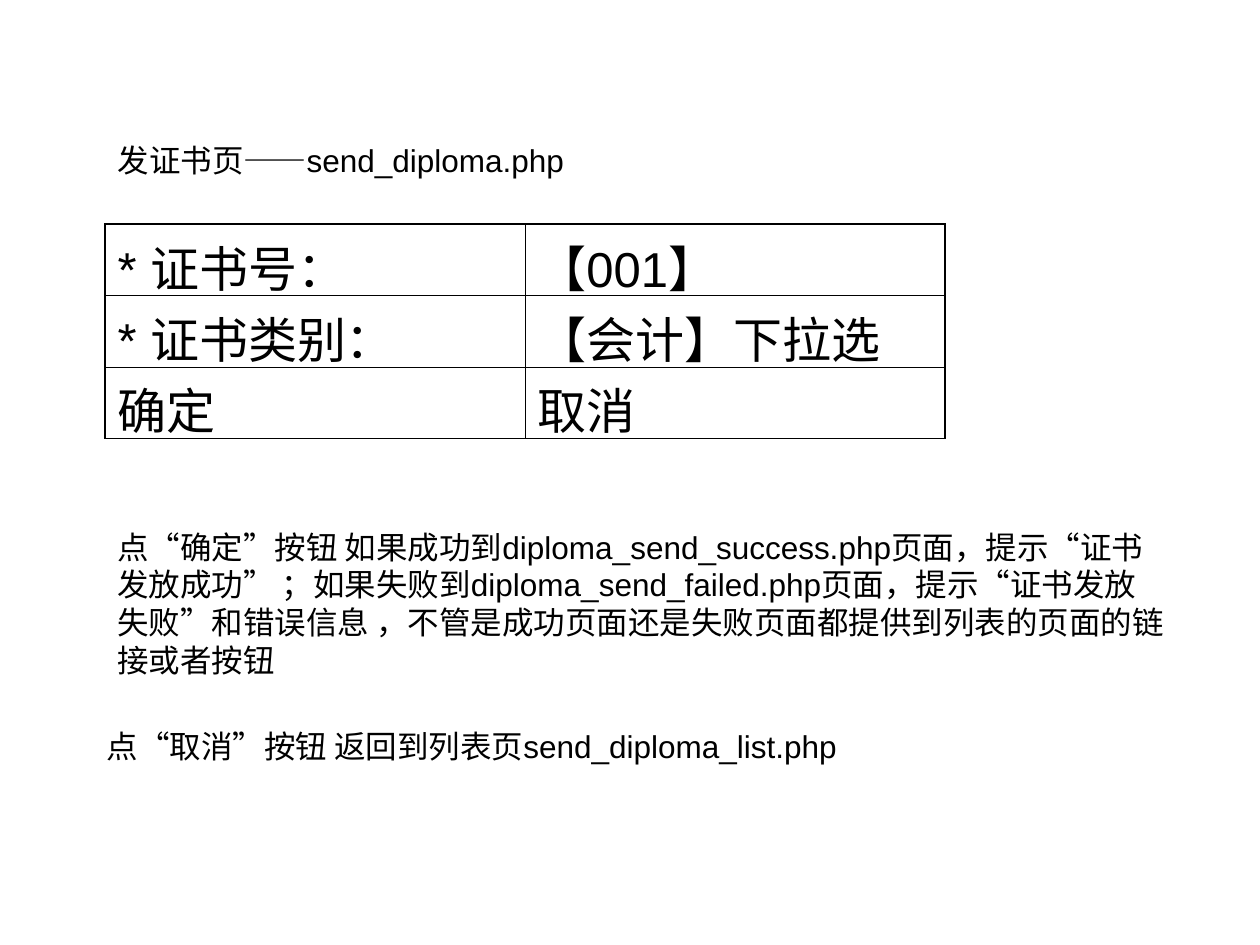
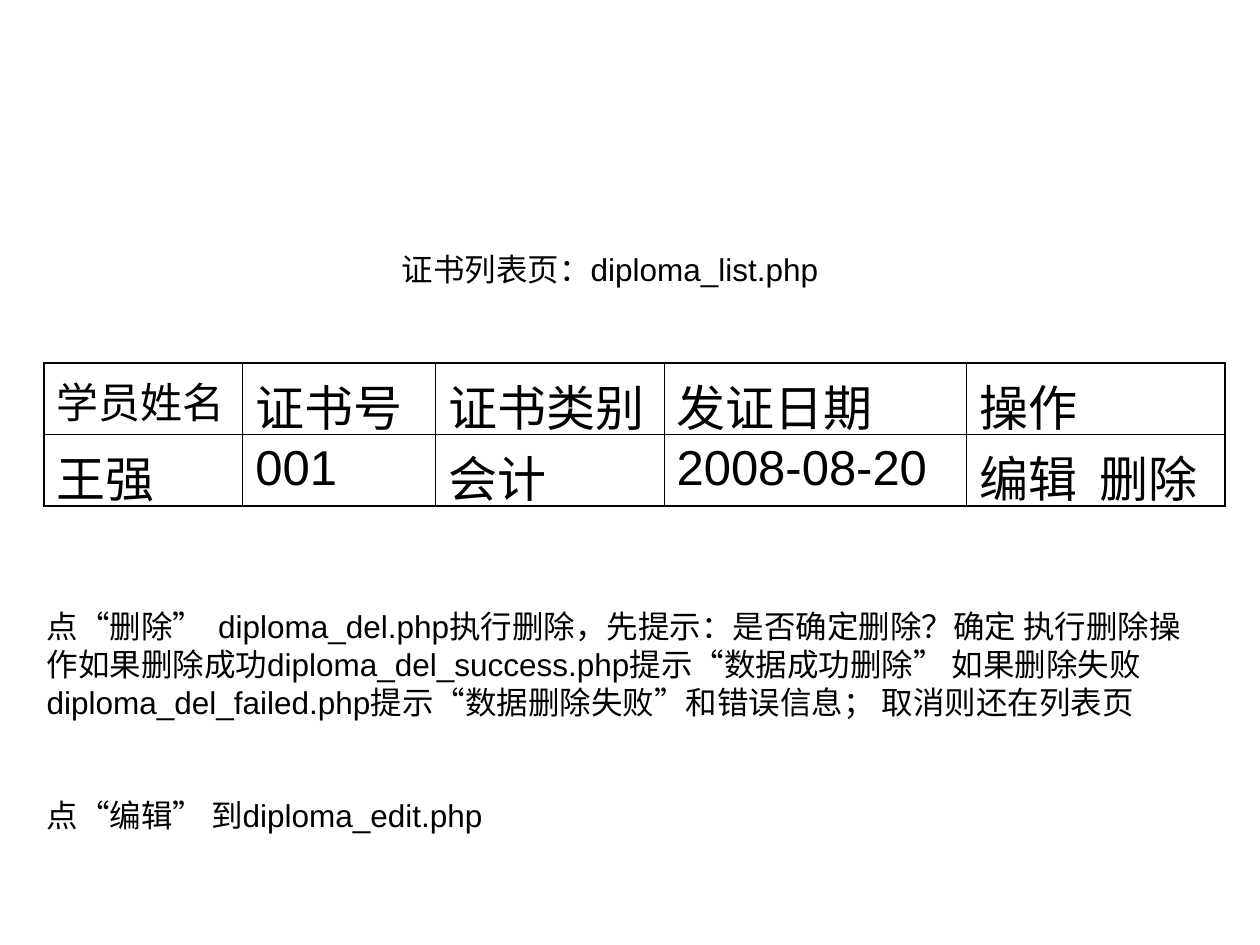
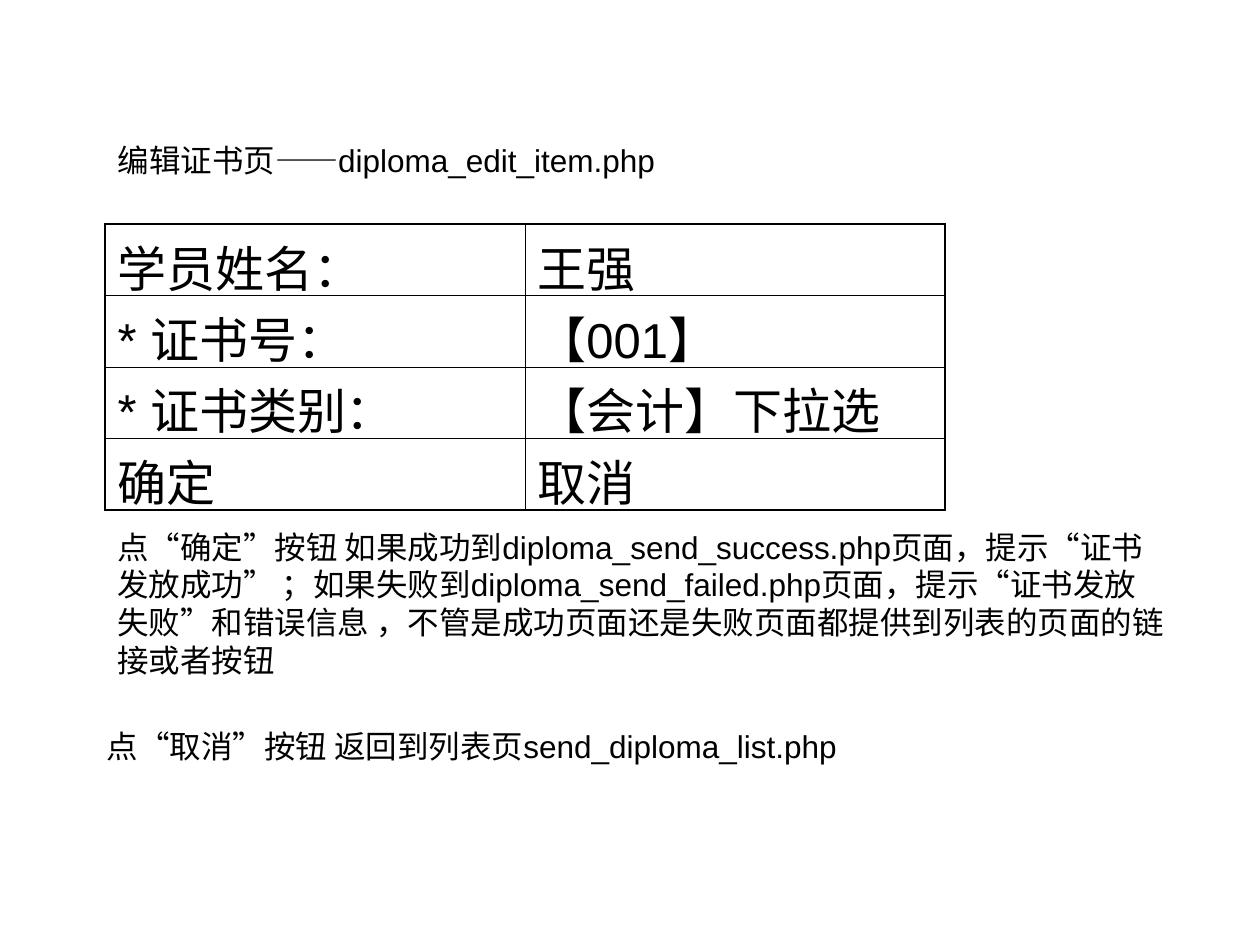
from dataclasses import dataclass

import pptx
import pptx.dml.color
import pptx.enum.lang
import pptx.enum.text
import pptx.oxml
import pptx.oxml.ns
import pptx.util

Pt = pptx.util.Pt
ALIGN = pptx.enum.text.PP_ALIGN


@dataclass(frozen=True)
class Theme:
    font: str = "Arial"
    ink: str = "000000"
    body_size: float = 18
    cell_size: float = 28
    small_cell_size: float = 24
    body_gap: float = 11.25
    list_title_gap: float = 4.5
    cell_gap_ratio: float = 0.25
    row_height: float = 40.75
    inner_line: float = 1.08 / 2.4
    outer_line: float = 1.08
    inset_x: float = 7.2
    inset_y: float = 3.6


THEME = Theme()


@dataclass(frozen=True)
class Caption:
    text: str
    left: float
    top: float
    width: float
    height: float
    align: ALIGN = ALIGN.LEFT
    gap: float = THEME.body_gap


@dataclass(frozen=True)
class Grid:
    left: float
    top: float
    widths: tuple[float, ...]
    rows: tuple[tuple[str, ...], ...]
    small_cells: tuple[str, ...] = ()


@dataclass(frozen=True)
class Screen:
    title: Caption
    grid: Grid
    notes: tuple[Caption, ...]


FORM_COLUMNS = (240, 240)
FORM_ROWS = (
    ("* 证书号：", "【001】"),
    ("* 证书类别：", "【会计】下拉选"),
    ("确定", "取消"),
)
FORM_NOTES = (
    Caption("点“确定”按钮 如果成功到diploma_send_success.php页面，提示“证书发放成功” ；"
            "如果失败到diploma_send_failed.php页面，提示“证书发放失败”和错误信息 ，"
            "不管是成功页面还是失败页面都提供到列表的页面的链接或者按钮",
            60, 298, 613, 94),
    Caption("点“取消”按钮 返回到列表页send_diploma_list.php", 54, 412, 601, 29),
)


def form_screen(title: str, *extra_rows: tuple[str, str]) -> Screen:
    """Describe a certificate form, with extra rows above the common ones."""
    return Screen(Caption(title, 60, 77, 607, 29),
                  Grid(60, 128, FORM_COLUMNS, extra_rows + FORM_ROWS),
                  FORM_NOTES)


SCREENS = (
    form_screen("发证书页——send_diploma.php"),
    Screen(
        Caption("证书列表页：diploma_list.php", 25, 139.5, 647, 29,
                ALIGN.CENTER, THEME.list_title_gap),
        Grid(25.2, 207.5, (113.5, 110.25, 130.5, 173, 147.5),
             (("学员姓名", "证书号", "证书类别", "发证日期", "操作"),
              ("王强", "001", "会计", "2008-08-20", "编辑  删除")),
             ("学员姓名",)),
        (Caption("点“删除”  diploma_del.php执行删除，先提示：是否确定删除？确定 执行删除操作"
                 "如果删除成功diploma_del_success.php提示“数据成功删除” "
                 "如果删除失败diploma_del_failed.php提示“数据删除失败”和错误信息； 取消则还在列表页",
                 19.5, 343.5, 669, 72),
         Caption("点“编辑” 到diploma_edit.php", 19.5, 451.5, 669, 29)),
    ),
    form_screen("编辑证书页——diploma_edit_item.php", ("学员姓名：", "王强")),
)


def write(frame, text: str, *, size: float, gap: float, align: ALIGN = ALIGN.LEFT) -> None:
    frame.word_wrap = True
    para = frame.paragraphs[0]
    para.alignment = align
    para.space_before = Pt(gap)
    para.line_spacing = 1.0
    span = para.add_run()
    span.text = text
    span.font.name = THEME.font
    span.font.size = Pt(size)
    span.font.language_id = pptx.enum.lang.MSO_LANGUAGE_ID.SIMPLIFIED_CHINESE
    span.font.color.rgb = pptx.dml.color.RGBColor.from_string(THEME.ink)


def fill_box(box, caption: Caption) -> None:
    """Place a title or text box and write its caption."""
    box.left, box.top = Pt(caption.left), Pt(caption.top)
    box.width, box.height = Pt(caption.width), Pt(caption.height)
    frame = box.text_frame
    frame.margin_left = frame.margin_right = Pt(THEME.inset_x)
    frame.margin_top = frame.margin_bottom = Pt(THEME.inset_y)
    frame.vertical_anchor = pptx.enum.text.MSO_ANCHOR.TOP
    frame.auto_size = pptx.enum.text.MSO_AUTO_SIZE.SHAPE_TO_FIT_TEXT
    write(frame, caption.text, size=THEME.body_size, gap=caption.gap, align=caption.align)


def set_borders(cell, outer_sides: dict[str, bool]) -> None:
    """Rule the four sides of a cell, heavier where the side is on the table's edge."""
    properties = cell._tc.get_or_add_tcPr()
    for position, (side, is_outer) in enumerate(outer_sides.items()):
        width = Pt(THEME.outer_line if is_outer else THEME.inner_line)
        line = pptx.oxml.parse_xml(
            f'<a:ln{side} {pptx.oxml.ns.nsdecls("a")} w="{int(width)}">'
            f'<a:solidFill><a:srgbClr val="{THEME.ink}"/></a:solidFill></a:ln{side}>')
        properties.insert(position, line)


def draw_grid(page, grid: Grid) -> None:
    row_count, column_count = len(grid.rows), len(grid.widths)
    table = page.shapes.add_table(
        row_count, column_count, Pt(grid.left), Pt(grid.top),
        Pt(sum(grid.widths)), Pt(THEME.row_height * row_count)).table
    table.first_row = table.horz_banding = False
    for column, width in zip(table.columns, grid.widths):
        column.width = Pt(width)
    for row_index, texts in enumerate(grid.rows):
        table.rows[row_index].height = Pt(THEME.row_height)
        for column_index, text in enumerate(texts):
            cell = table.cell(row_index, column_index)
            cell.margin_left = cell.margin_right = Pt(THEME.inset_x)
            cell.margin_top = cell.margin_bottom = Pt(THEME.inset_y)
            cell.fill.background()
            size = THEME.small_cell_size if text in grid.small_cells else THEME.cell_size
            write(cell.text_frame, text, size=size, gap=size * THEME.cell_gap_ratio)
            set_borders(cell, {"L": column_index == 0,
                               "R": column_index == column_count - 1,
                               "T": row_index == 0,
                               "B": row_index == row_count - 1})


def draw_screen(deck, screen: Screen) -> None:
    title_only = deck.slide_layouts.get_by_name("Title Only")
    page = deck.slides.add_slide(title_only)
    fill_box(page.shapes.title, screen.title)
    draw_grid(page, screen.grid)
    for note in screen.notes:
        fill_box(page.shapes.add_textbox(0, 0, 0, 0), note)


def main() -> None:
    deck = pptx.Presentation()
    deck.slide_width, deck.slide_height = Pt(720), Pt(540)
    for screen in SCREENS:
        draw_screen(deck, screen)
    deck.save("out.pptx")


if __name__ == "__main__":
    main()
